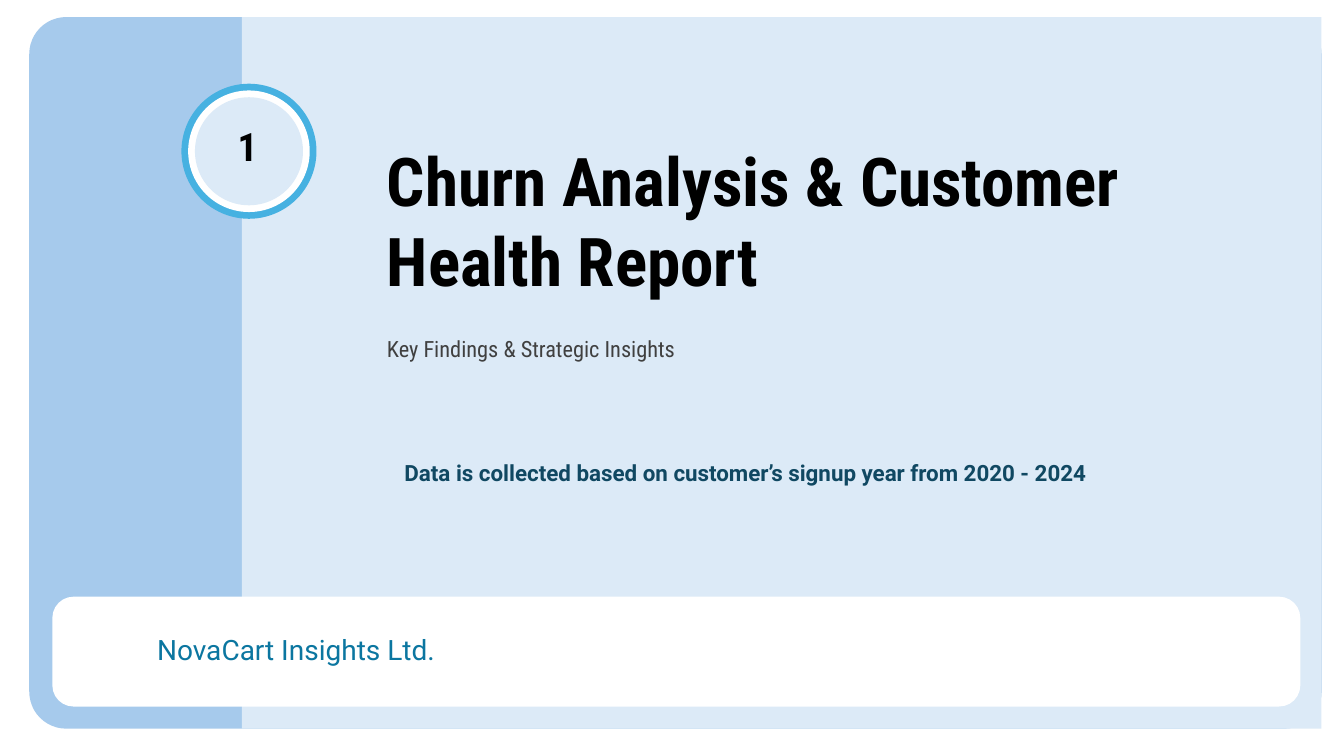
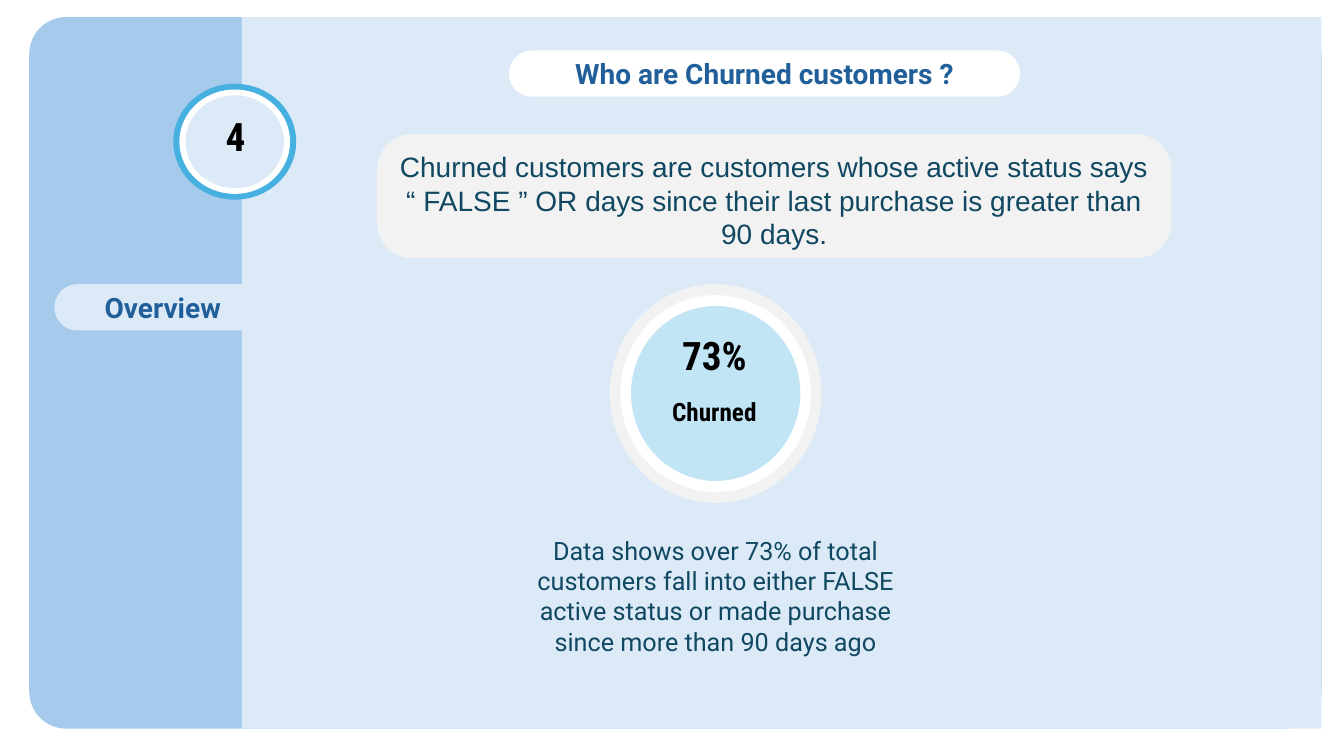
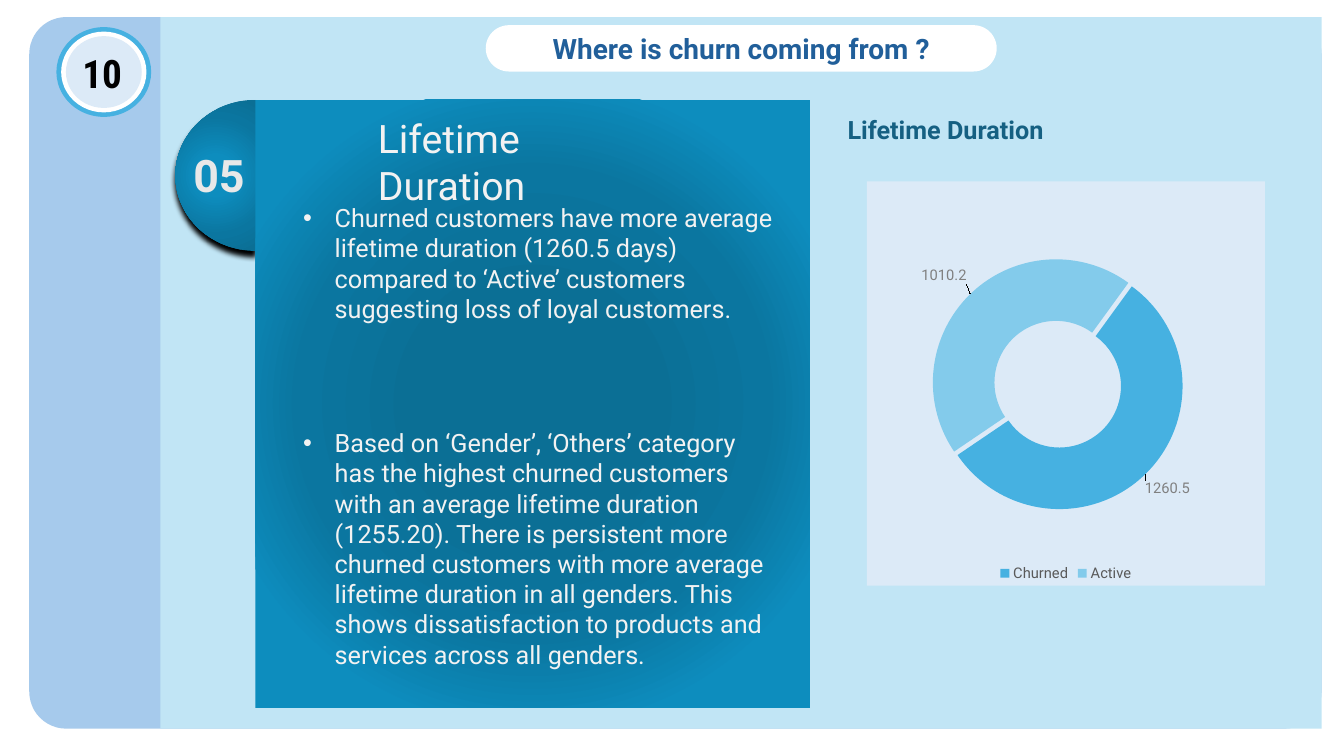
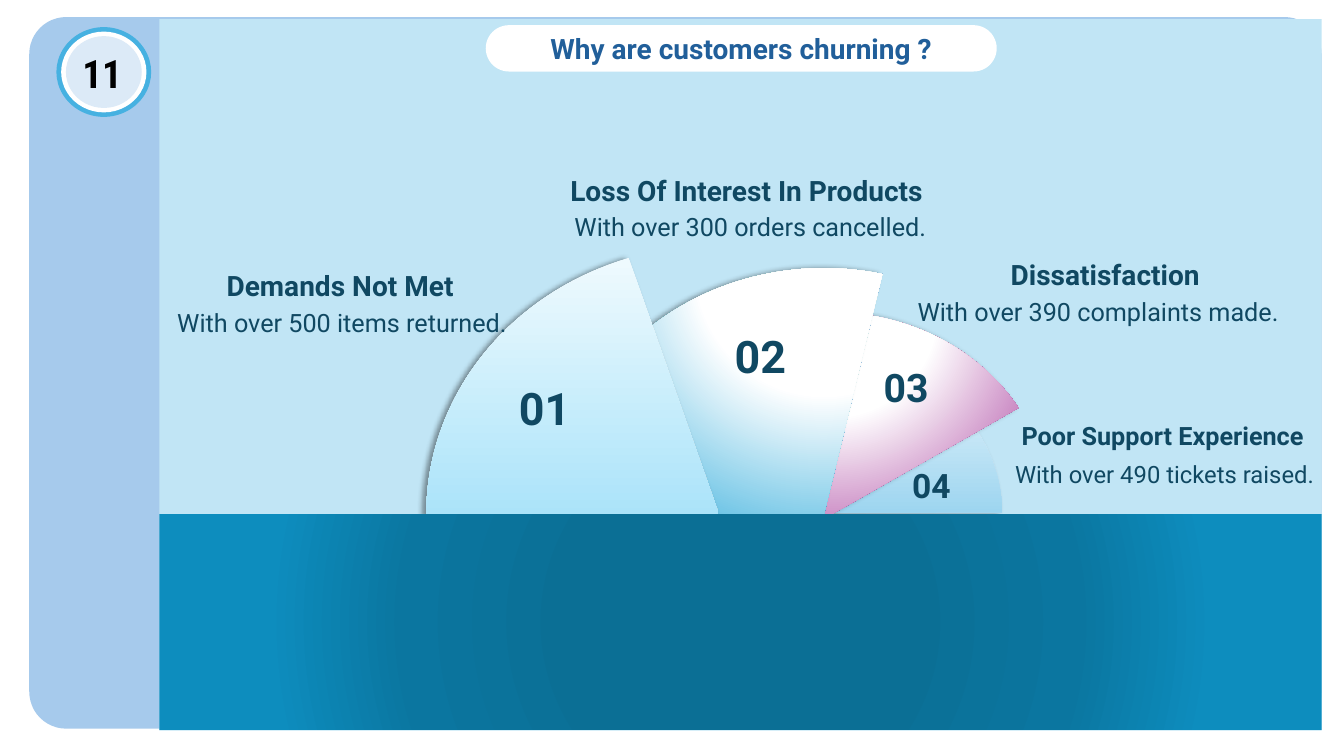
from math import cos, pi, sin

from lxml import etree
from pptx import Presentation
from pptx.chart.data import CategoryChartData
from pptx.dml.color import RGBColor
from pptx.enum.chart import XL_CHART_TYPE as ChartType, XL_LEGEND_POSITION as LegendPosition
from pptx.enum.shapes import MSO_SHAPE as Preset
from pptx.enum.text import MSO_ANCHOR as Anchor, PP_ALIGN as Align
from pptx.oxml import parse_xml
from pptx.oxml.ns import nsdecls, qn
from pptx.util import Pt

WHITE = RGBColor(0xFF, 0xFF, 0xFF)
BLACK = RGBColor(0x00, 0x00, 0x00)
CHARCOAL = RGBColor(0x40, 0x40, 0x40)
DARK_GRAY = RGBColor(0x59, 0x59, 0x59)
GRAY = RGBColor(0x80, 0x80, 0x80)
SILVER = RGBColor(0xE8, 0xE8, 0xE8)
OFF_WHITE = RGBColor(0xF2, 0xF2, 0xF2)
SIDE_BLUE = RGBColor(0xA6, 0xCA, 0xEC)
PALE_BLUE = RGBColor(0xDC, 0xEA, 0xF7)
ICE_BLUE = RGBColor(0xC1, 0xE5, 0xF5)
RING_BLUE = RGBColor(0x46, 0xB1, 0xE1)
SOFT_BLUE = RGBColor(0x83, 0xCB, 0xEB)
HEADING_BLUE = RGBColor(0x21, 0x5F, 0x9A)
TEAL = RGBColor(0x0B, 0x76, 0xA0)
CHART_TITLE = RGBColor(0x15, 0x60, 0x82)
NAVY = RGBColor(0x10, 0x48, 0x62)
DEEP_TEAL = RGBColor(0x0B, 0x6F, 0x95)
BRIGHT_TEAL = RGBColor(0x0D, 0x8D, 0xBE)

# A gradient is its stops and, when circular, the rectangle it starts from.
CENTRE = (50, 50, 50, 50)
ABOVE = (50, -80, 50, 180)
PANEL_GLOW = ([(28, DEEP_TEAL), (57, TEAL), (80, BRIGHT_TEAL)], CENTRE)
TAB_GLOW = ([(0, BRIGHT_TEAL), (23, BRIGHT_TEAL), (69, TEAL), (97, DEEP_TEAL)], CENTRE)
CYAN_FADE = ([(0, "F2FBFE"), (74, "88D8F7"), (83, "88D8F7"), (100, "B0E5F9")], None)
SKY_FADE = ([(0, "F0F8FD"), (74, "74C4E9"), (83, "74C4E9"), (100, "A2D8F0")], None)
BLUE_GLOW = ([(0, WHITE), (35, WHITE), (100, "0F9ED5")], ABOVE)
PURPLE_GLOW = ([(0, WHITE), (35, WHITE), (100, "A02B93")], ABOVE)

SANS, CONDENSED = "Roboto", "Roboto Condensed"
HEADING = {"size": 20, "bold": True, "color": HEADING_BLUE, "align": Align.CENTER}
NUMBER = {"size": 28, "bold": True, "color": BLACK, "name": CONDENSED}
BODY = {"size": 18, "color": NAVY}
STRONG = {"size": 20, "color": NAVY, "bold": True}
BULLET = {"size": 18, "color": OFF_WHITE, "bullet": True}

RIGHT_EDGE = 944
CORNER_BADGE = (40.3, 19.4, 67.7, 64.1)
CORNER_NUMBER = (51.8, 31.7, 45.4, 30.2)


class Deck:
    def __init__(self):
        self.presentation = Presentation()
        self.presentation.slide_width = Pt(960)
        self.presentation.slide_height = Pt(540)
        self.slide = None

    def new_slide(self, split, panel_color, panel_top=12.2):
        """Start a slide with its side band and its panel from split to the right edge."""
        self.slide = self.presentation.slides.add_slide(self.presentation.slide_layouts[6])
        self.shape((20.9, 12.2, 923.1, 508.3), SIDE_BLUE, Preset.ROUNDED_RECTANGLE, [0.052])
        self.shape((split, panel_top, RIGHT_EDGE - split, 508.3), panel_color)

    def shape(self, box, fill=None, preset=Preset.RECTANGLE, adjustments=(), shadow=None):
        shape = self.slide.shapes.add_shape(preset, *map(Pt, box))
        for index, value in enumerate(adjustments):
            shape.adjustments[index] = value
        return self.paint(shape, fill, shadow)

    def paint(self, shape, fill, shadow=None):
        """Fill with a colour, a gradient or nothing; shadow is alpha, blur, distance, angle."""
        shape.shadow.inherit = False
        shape.line.fill.background()
        shape.fill.background()
        properties = shape._element.spPr
        if isinstance(fill, RGBColor):
            shape.fill.solid()
            shape.fill.fore_color.rgb = fill
        elif fill:
            properties.replace(properties.find(qn("a:noFill")), self.gradient(*fill))
        if shadow:
            alpha, blur, distance, angle = shadow
            properties.find(qn("a:effectLst")).append(parse_xml(
                f'<a:outerShdw {nsdecls("a")} blurRad="{Pt(blur)}" dist="{Pt(distance)}" '
                f'dir="{angle * 60000}" algn="ctr" rotWithShape="0"><a:srgbClr val="000000">'
                f'<a:alpha val="{alpha * 1000}"/></a:srgbClr></a:outerShdw>'))
        return shape

    def gradient(self, stops, start):
        stop_xml = "".join(f'<a:gs pos="{position * 1000}"><a:srgbClr val="{color}"/></a:gs>'
                           for position, color in stops)
        if start:
            sides = " ".join(f'{side}="{value * 1000}"' for side, value in zip("ltrb", start))
            direction = f'<a:path path="circle"><a:fillToRect {sides}/></a:path>'
        else:
            direction = '<a:lin ang="5400000" scaled="0"/>'
        return parse_xml(f'<a:gradFill {nsdecls("a")} rotWithShape="1">'
                         f'<a:gsLst>{stop_xml}</a:gsLst>{direction}</a:gradFill>')

    def text(self, box, text, **style):
        return self.put_text(self.slide.shapes.add_textbox(*map(Pt, box)), text, **style)

    def put_text(self, shape, text, size, color, name=SANS, bold=False,
                 align=Align.LEFT, anchor=Anchor.TOP, bullet=False):
        frame = shape.text_frame
        frame.word_wrap = True
        frame.vertical_anchor = anchor
        paragraph = frame.paragraphs[0]
        paragraph.alignment = align
        run = paragraph.add_run()
        run.text = text
        self.set_font(run.font, color, size=Pt(size), name=name, bold=bold)
        if bullet:
            properties = paragraph._p.get_or_add_pPr()
            for key, value in {"marL": Pt(22.5), "indent": -Pt(22.5)}.items():
                properties.set(key, str(value))
            etree.SubElement(properties, qn("a:buFont")).set("typeface", "Arial")
            etree.SubElement(properties, qn("a:buChar")).set("char", "•")
        return shape

    def set_font(self, font, color, **values):
        for key, value in values.items():
            setattr(font, key, value)
        font.color.rgb = color

    def pill(self, box, text, fill=WHITE, **style):
        shape = self.shape(box, fill, Preset.ROUNDED_RECTANGLE, [0.5])
        return self.put_text(shape, text, anchor=Anchor.MIDDLE, **style)

    def title(self, left, top, text):
        self.pill((left, top, 365, 33.1), text, **HEADING)

    def rings(self, box, colors):
        """Draw concentric ellipses, from the outside in."""
        left, top, width, height = box
        for color, scale in zip(colors, (1, 0.9, 0.8)):
            inset = (1 - scale) / 2
            self.shape((left + width * inset, top + height * inset,
                        width * scale, height * scale), color, Preset.OVAL)

    def badge(self, box, number_box, number):
        self.rings(box, (RING_BLUE, WHITE, PALE_BLUE))
        self.text(number_box, number, **NUMBER)

    def half_disc(self, center_x, center_y, radius_x, radius_y, fill, shadow):
        steps = 60
        points = [(Pt(center_x - radius_x * sin(pi * step / steps)),
                   Pt(center_y - radius_y * cos(pi * step / steps)))
                  for step in range(steps + 1)]
        builder = self.slide.shapes.build_freeform(*points[0], scale=1.0)
        builder.add_line_segments(points[1:], close=True)
        return self.paint(builder.convert_to_shape(), fill, shadow)

    def wedge(self, box, start, end, fill):
        """Draw a pie slice between two angles in degrees."""
        angles = [angle * 0.6 for angle in (start, end)]
        self.shape(box, fill, Preset.PIE, angles, shadow=(40, 4, 3, 180))

    def doughnut(self, box, categories, values, colors, label_shifts):
        data = CategoryChartData(number_format="0.0")
        data.categories = categories
        data.add_series("Series 1", values)
        chart = self.slide.shapes.add_chart(ChartType.DOUGHNUT, *map(Pt, box), data).chart
        chart.has_title = False
        self.set_font(chart.font, BLACK, size=Pt(10), name=SANS)
        chart.has_legend = True
        chart.legend.position = LegendPosition.BOTTOM
        chart.legend.include_in_layout = False
        self.set_font(chart.legend.font, DARK_GRAY, size=Pt(10.5), name=SANS)
        plot = chart.plots[0]
        plot.vary_by_categories = True
        series = plot.series[0]
        label_font = {"color": GRAY, "size": Pt(10.5), "name": SANS}
        labels = series.data_labels
        for key, value in {"show_value": True, "show_percentage": False,
                           "number_format": "0.0", "number_format_is_linked": False}.items():
            setattr(labels, key, value)
        self.set_font(labels.font, **label_font)
        for index, color in enumerate(colors):
            point = series.points[index]
            point.format.fill.solid()
            point.format.fill.fore_color.rgb = color
            point.format.line.fill.background()
            self.set_font(point.data_label.font, **label_font)

        space = chart._chartSpace
        for label, (x, y) in zip(space.xpath(".//c:dLbl"), label_shifts):
            label.find(qn("c:idx")).addnext(self.layout(x=x, y=y))
        space.xpath(".//c:dPt")[0].addprevious(
            parse_xml(f'<c:explosion {nsdecls("c")} val="4"/>'))
        for tag, value in {"firstSliceAng": 36, "holeSize": 82}.items():
            space.xpath(f".//c:{tag}")[0].set("val", str(value))
        area = space.xpath(".//c:plotArea")[0]
        for old_layout in area.findall(qn("c:layout")):
            area.remove(old_layout)
        area.insert(0, self.layout(layoutTarget="inner", xMode="edge", yMode="edge",
                                   x=0.164, y=0.191, w=0.631, h=0.622))
        space.find(qn("c:chart")).addnext(parse_xml(
            f'<c:spPr {nsdecls("c", "a")}><a:solidFill><a:srgbClr val="{PALE_BLUE}"/>'
            '</a:solidFill><a:ln><a:noFill/></a:ln></c:spPr>'))

    def layout(self, **values):
        items = "".join(f'<c:{key} val="{value}"/>' for key, value in values.items())
        return parse_xml(f'<c:layout {nsdecls("c")}><c:manualLayout>{items}'
                         '</c:manualLayout></c:layout>')


def cover(deck):
    deck.new_slide(172.8, PALE_BLUE)
    deck.text((269.3, 95.8, 545, 118), "Churn Analysis & Customer Health Report",
              size=48, color=BLACK, name=CONDENSED, bold=True)
    deck.text((269.3, 236.2, 455, 24.5), "Key Findings & Strategic Insights",
              size=16, color=CHARCOAL, name=CONDENSED)
    deck.shape((37.4, 426.2, 891.4, 78.5), WHITE, Preset.ROUNDED_RECTANGLE, [0.193])
    deck.text((105.1, 448.6, 234, 31.7), "NovaCart Insights Ltd.", size=20, color=TEAL)
    deck.badge((129.6, 59.8, 96.5, 96.5), (162.7, 83.5, 38.2, 39.6), "1")
    deck.pill((269.3, 294.5, 531.4, 85.7),
              "Data is collected based on customer’s signup year from 2020 - 2024",
              fill=None, size=16, color=NAVY, bold=True)


def churned_customers(deck):
    deck.new_slide(172.8, PALE_BLUE)
    deck.badge((123.8, 59.8, 87.8, 82.8), (154.1, 76.3, 38.2, 39.6), "4")
    deck.pill((38.9, 203, 154.8, 33.1), "Overview", fill=PALE_BLUE, **HEADING)
    definition = deck.shape((269.3, 95.8, 567.4, 88.6), OFF_WHITE,
                            Preset.ROUNDED_RECTANGLE, [0.285])
    deck.put_text(definition, "Churned customers are customers whose active status says "
                  "“ FALSE ” OR days since their last purchase is greater than 90 days.",
                  size=20, color=NAVY, name="Arial", align=Align.CENTER)
    deck.rings((435.6, 203, 151.2, 156.2), (OFF_WHITE, WHITE, ICE_BLUE))
    deck.text((480.2, 233.3, 68.4, 53.3), "73%", **NUMBER)
    deck.text((473, 279.4, 95, 33.1), "Churned", **{**NUMBER, "size": 18})
    deck.text((357.8, 378.7, 306.7, 94.3), "Data shows over 73% of total customers fall into "
              "either FALSE active status or made purchase since more than 90 days ago",
              align=Align.CENTER, **BODY)
    deck.title(363.6, 36, "Who are Churned customers ?")


def lifetime_duration(deck):
    deck.new_slide(114.5, ICE_BLUE)
    deck.badge(CORNER_BADGE, CORNER_NUMBER, "10")
    deck.title(347, 18, "Where is churn coming from ?")
    deck.half_disc(183, 125.3, 57.7, 54, TAB_GLOW, shadow=(100, 4, 4, 90))
    deck.text((131, 102.2, 58.3, 46.1), "05", size=32, color=SILVER, bold=True)
    deck.shape((182.5, 71.3, 396, 434.2), PANEL_GLOW)
    deck.text((209.5, 301.7, 354.2, 181.4),
              "Based on ‘Gender’, ‘Others’ category has the highest churned customers with an "
              "average lifetime duration (1255.20). There is persistent more churned customers "
              "with more average lifetime duration in all genders. This shows dissatisfaction "
              "to products and services across all genders.", **BULLET)
    deck.text((209.5, 141.1, 354.2, 94.3),
              "Churned customers have more average lifetime duration (1260.5 days) compared to "
              "‘Active’ customers suggesting loss of loyal customers.", **BULLET)
    deck.text((262.8, 77.8, 226.8, 41), "Lifetime Duration", size=28, color=OFF_WHITE)
    deck.doughnut((619.2, 129.6, 284.4, 288.7), ["Churned", "Active"], [1260.5, 1010.2],
                  [RING_BLUE, SOFT_BLUE], [(0.11, 0.09), (-0.12, -0.1)])
    deck.text((598.3, 77.8, 226.8, 28.8), "Lifetime Duration",
              size=18, color=CHART_TITLE, bold=True)


def churn_reasons(deck):
    deck.new_slide(113.8, ICE_BLUE, panel_top=13.7)
    deck.badge(CORNER_BADGE, CORNER_NUMBER, "11")
    deck.title(347, 18, "Why are customers churning ?")
    for box, start, end, fill in (
            ((472.3, 254.2, 243.4, 223.9), 178.92, 359.8, SKY_FADE),
            ((437.8, 223.2, 313.2, 288), 179.79, 330.32, PURPLE_GLOW),
            ((397.4, 191.5, 382.3, 352.1), 180.29, 283.66, BLUE_GLOW),
            ((304.6, 175, 417.6, 383.8), 179.36, 250.57, CYAN_FADE)):
        deck.wedge(box, start, end, fill)
    for number, left, top, size in (("01", 363.6, 268.6, 32), ("02", 517.7, 231.1, 32),
                                    ("03", 624.2, 255.6, 28), ("04", 644.4, 328.3, 24)):
        deck.text((left, top, 72, 46), number, **{**STRONG, "size": size})
    deck.shape((113.8, 367.2, RIGHT_EDGE - 113.8, 154.1), PANEL_GLOW)

    centered = {"align": Align.CENTER}
    for heading, heading_box, heading_style, detail, detail_box, detail_style in (
            ("Demands Not Met", (154.8, 188.6, 185, 31.7), {},
             "With over 500 items returned.", (119.5, 216, 255.6, 28.8), {}),
            ("Loss Of Interest In Products", (400.3, 120.2, 283, 31.7), {},
             "With over 300 orders cancelled.", (335.5, 147.6, 401, 28.8), centered),
            ("Dissatisfaction", (648, 180.7, 283, 31.7), centered,
             "With over 390 complaints made.", (583.9, 208.1, 401, 28.8), centered),
            ("Poor Support Experience", (689, 296.6, 283, 28.8), {**centered, "size": 18},
             "With over 490 tickets raised.", (631.4, 324.7, 401, 28.1),
             {**centered, "size": 17})):
        deck.text(heading_box, heading, **{**STRONG, **heading_style})
        deck.text(detail_box, detail, **{**BODY, **detail_style})


def main():
    deck = Deck()
    for build in (cover, churned_customers, lifetime_duration, churn_reasons):
        build(deck)
    deck.presentation.save("out.pptx")


if __name__ == "__main__":
    main()
